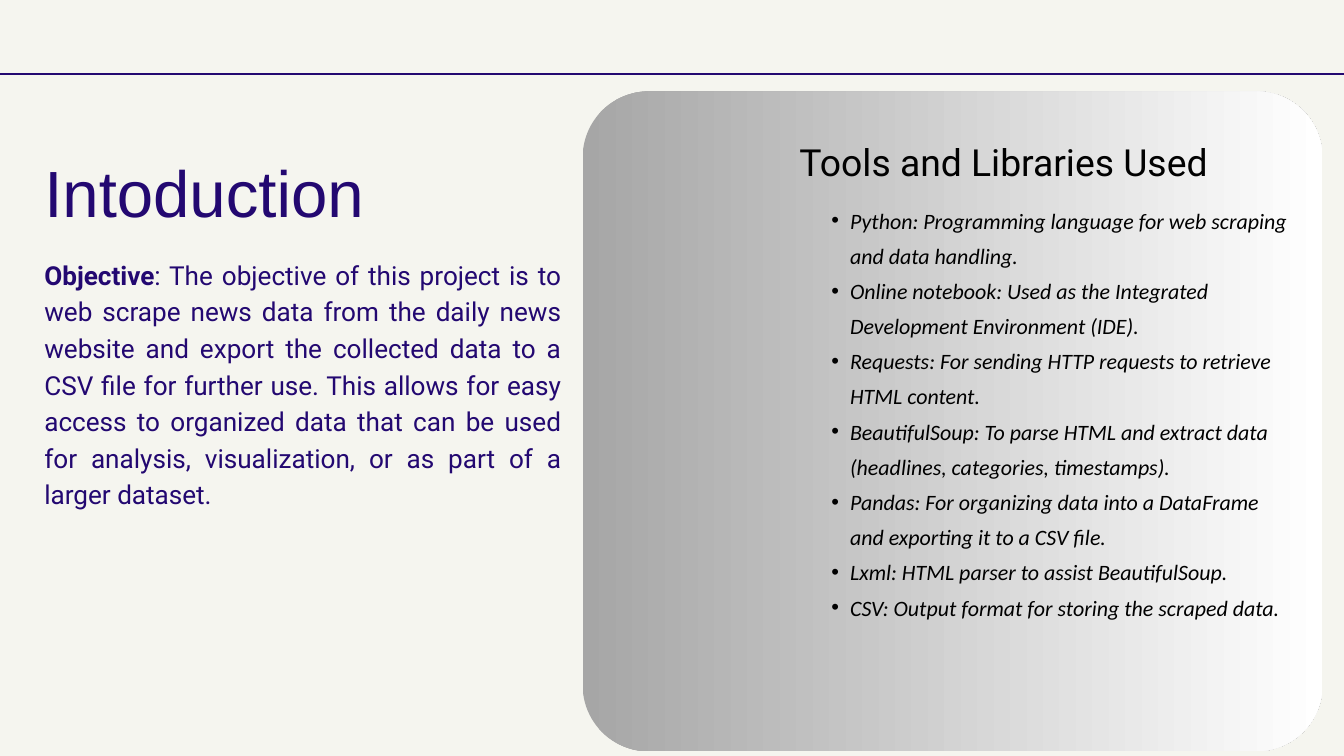
from lxml import etree
from pptx import Presentation
from pptx.dml.color import RGBColor
from pptx.enum.shapes import MSO_CONNECTOR, MSO_SHAPE
from pptx.enum.text import MSO_AUTO_SIZE, PP_ALIGN
from pptx.oxml.ns import qn
from pptx.util import Inches, Pt

STRAIGHT = MSO_CONNECTOR.STRAIGHT
ROUNDED = MSO_SHAPE.ROUNDED_RECTANGLE
GROW = MSO_AUTO_SIZE.SHAPE_TO_FIT_TEXT
LEFT, CENTER, JUSTIFY = PP_ALIGN.LEFT, PP_ALIGN.CENTER, PP_ALIGN.JUSTIFY

PAPER = "F5F5EF"
INDIGO = "230871"
BLACK = "000000"

OBJECTIVE = [
    ("Objective", True),
    (": The objective of this project is to web scrape news data from the "
     "daily news website and export the collected data to a CSV file for "
     "further use. This allows for easy access to organized data that can be "
     "used for analysis, visualization, or as part of a larger dataset.", False),
]

TOOLS = [
    "Python: Programming language for web scraping and data handling.",
    "Online notebook: Used as the Integrated Development Environment (IDE).",
    "Requests: For sending HTTP requests to retrieve HTML content.",
    "BeautifulSoup: To parse HTML and extract data (headlines, categories, timestamps).",
    "Pandas: For organizing data into a DataFrame and exporting it to a CSV file.",
    "Lxml: HTML parser to assist BeautifulSoup.",
    "CSV: Output format for storing the scraped data.",
]


def color(value):
    return RGBColor.from_string(value)


class SlideBuilder:
    def __init__(self, page, background):
        self.page = page
        fill = page.background.fill
        fill.solid()
        fill.fore_color.rgb = color(background)

    def panel(self, left, top, width, height, rounding, shades):
        shape = self.page.shapes.add_shape(
            ROUNDED, Inches(left), Inches(top), Inches(width), Inches(height))
        shape.adjustments[0] = rounding
        shape.shadow.inherit = False
        shape.line.fill.background()
        shape.fill.gradient()
        shape.fill.gradient_angle = 0
        for stop, position, shade in zip(shape.fill.gradient_stops, (0, 1), shades):
            stop.position = position
            stop.color.rgb = color(shade)

    def rule(self, left, right, top, ink, weight):
        line = self.page.shapes.add_connector(
            STRAIGHT, Inches(left), Inches(top), Inches(right), Inches(top))
        line.line.color.rgb = color(ink)
        line.line.width = Pt(weight)
        etree.SubElement(line._element.spPr, qn("a:effectLst"))

    def text(self, left, top, width, height, paragraphs, size, font, ink, spacing,
             align=LEFT, italic=False, bullet=None):
        box = self.page.shapes.add_textbox(
            Inches(left), Inches(top), Inches(width), Inches(height))
        frame = box.text_frame
        frame.word_wrap = True
        frame.auto_size = GROW
        frame.margin_left = frame.margin_right = 0
        frame.margin_top = frame.margin_bottom = 0
        for index, runs in enumerate(paragraphs):
            para = frame.add_paragraph() if index else frame.paragraphs[0]
            para.alignment = align
            para.line_spacing = Pt(spacing)
            if bullet:
                self.add_bullet(para, bullet)
            for words, bold in runs:
                span = para.add_run()
                span.text = words
                span.font.size = Pt(size)
                span.font.name = font
                span.font.bold = bold
                span.font.italic = italic
                span.font.color.rgb = color(ink)

    def add_bullet(self, para, bullet):
        para.level = 1
        properties = para._p.get_or_add_pPr()
        properties.set("marL", str(Inches(0.56)))
        properties.set("indent", str(Inches(-0.28)))
        etree.SubElement(properties, qn("a:buFont"), typeface="Arial")
        etree.SubElement(properties, qn("a:buChar"), char=bullet)


def main():
    deck = Presentation()
    deck.slide_width = Inches(20)
    deck.slide_height = Inches(11.25)
    builder = SlideBuilder(deck.slides.add_slide(deck.slide_layouts[6]), PAPER)

    builder.panel(8.67, 1.36, 11.01, 9.82, 0.1, ("A6A6A6", "FFFFFF"))
    builder.rule(0, 20, 1.1, INDIGO, 1.5)
    builder.text(0.66, 2.26, 7.69, 1.27, [[("Intoduction", False)]],
                 70, "Arial", INDIGO, 84)
    builder.text(0.66, 3.78, 7.69, 4.3, [OBJECTIVE],
                 28, "Roboto", INDIGO, 39.2, align=JUSTIFY)
    builder.text(11.6, 1.96, 6.67, 0.74, [[("Tools and Libraries Used", False)]],
                 40, "Roboto", "010101", 56, align=CENTER)
    builder.text(12.09, 2.95, 7.19, 7.78, [[(tool, False)] for tool in TOOLS],
                 23.5, "Calibri", BLACK, 37.7, italic=True, bullet="•")

    deck.save("out.pptx")


if __name__ == "__main__":
    main()
